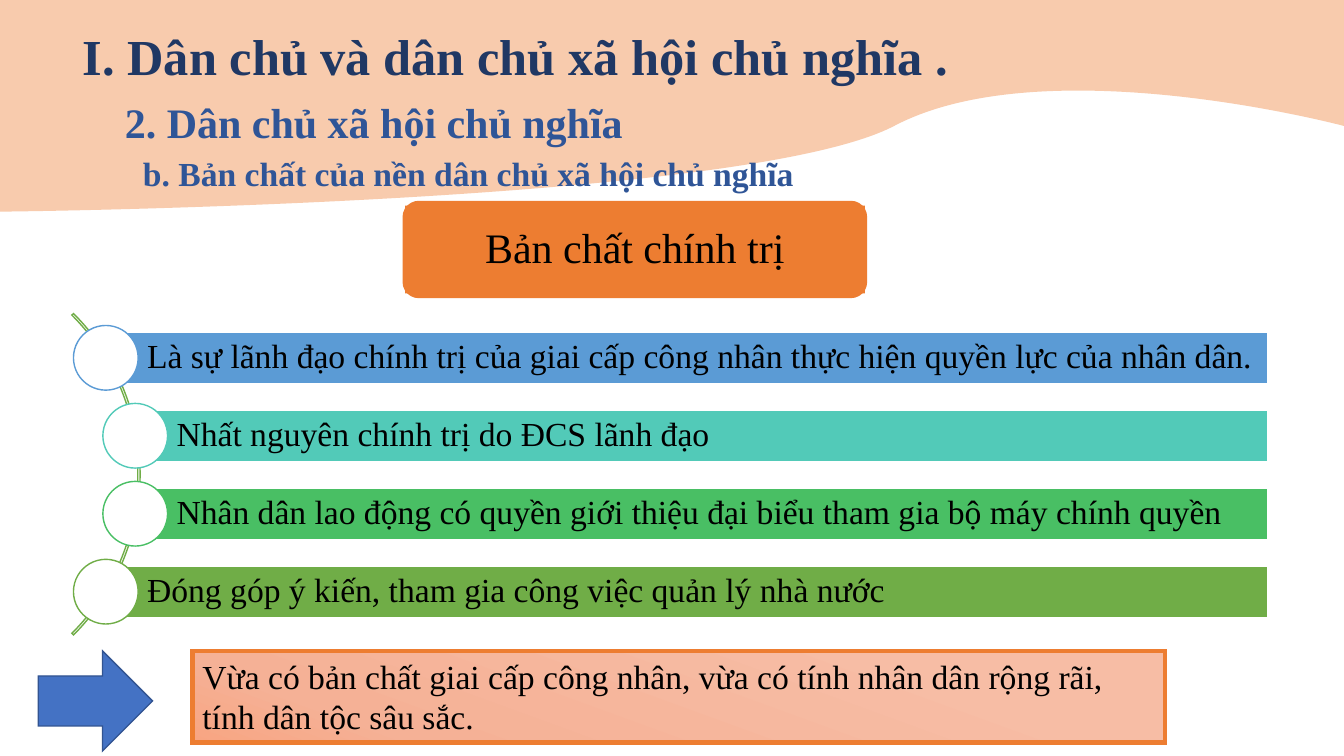
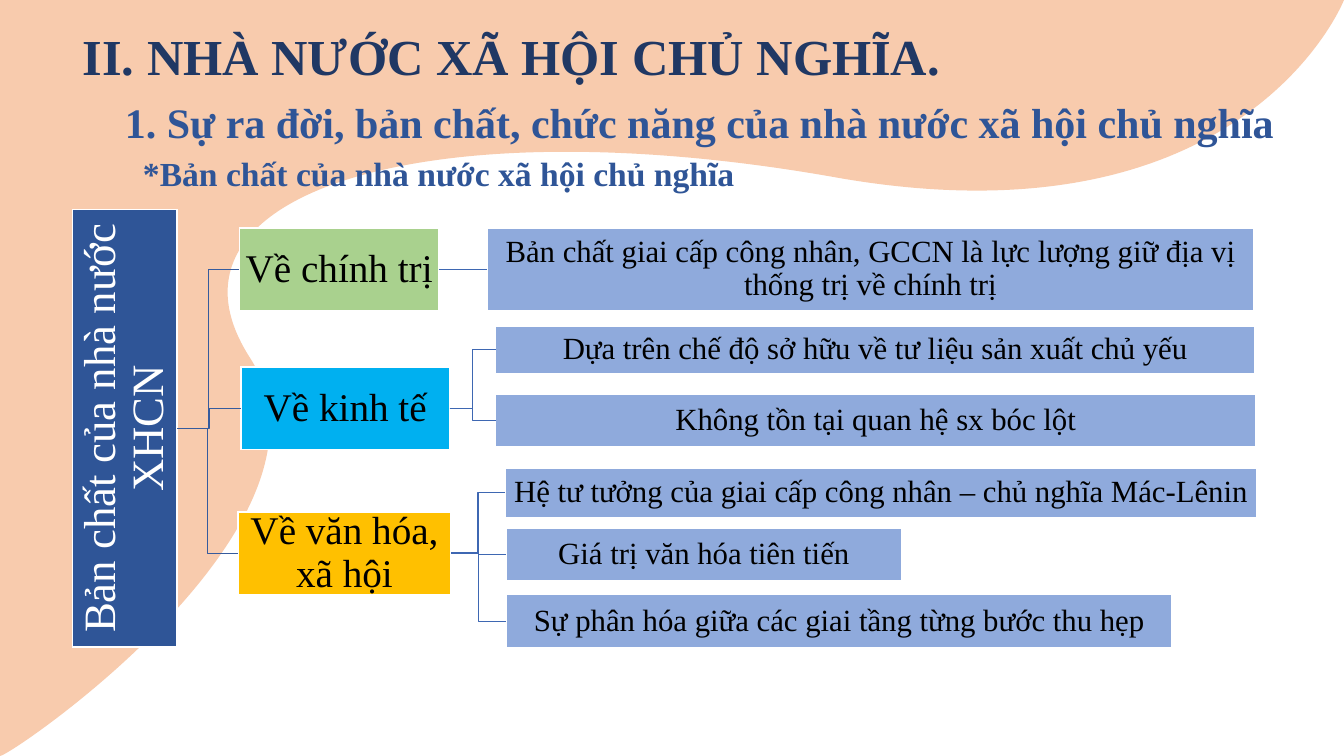
from copy import deepcopy
from dataclasses import dataclass

from lxml.etree import SubElement
from pptx import Presentation
from pptx.dml.color import RGBColor
from pptx.enum.shapes import MSO_CONNECTOR, MSO_SHAPE
from pptx.enum.text import MSO_ANCHOR, MSO_AUTO_SIZE, PP_ALIGN
from pptx.oxml.ns import qn
from pptx.util import Inches, Pt

CELL = Inches(1) / 12
COLUMNS, ROWS = 160, 90
FONT = "Times New Roman"
COLORS = {
    "wave": "F8CBAD", "title": "203864", "subtitle": "2F5597",
    "black": "000000", "white": "FFFFFF", "orange": "ED7D31",
    "blue": "5B9BD5", "teal": "52CAB8", "green": "49BF64", "olive": "70AD47",
    "arrow": "4472C4", "arrow_edge": "325491",
    "peach_light": "F7BDA5", "peach": "F5B196", "peach_dark": "F8A582",
    "lime": "A9D18E", "sky": "00B0F0", "gold": "FFC000", "leaf": "8FAADC",
    "trunk_line": "365B9D", "leaf_line": "3E67B2",
}

Point = tuple[float, float]
Segment = tuple[Point, ...]


@dataclass(frozen=True)
class Area:
    left: float
    top: float
    width: float
    height: float

    def emu(self) -> list[int]:
        return [cells(n) for n in (self.left, self.top, self.width, self.height)]


@dataclass(frozen=True)
class TextStyle:
    size: float
    color: str = "black"
    bold: bool = False
    align: PP_ALIGN = PP_ALIGN.LEFT
    anchor: MSO_ANCHOR = MSO_ANCHOR.TOP
    left: float = 1.2
    right: float = 1.2
    edge: float = 0.6
    spacing: float = 1.0


@dataclass(frozen=True)
class Bar:
    text: str
    left: float
    color: str


@dataclass(frozen=True)
class Leaf:
    text: str
    left: float
    middle: float
    width: float
    height: float


@dataclass(frozen=True)
class Branch:
    text: str
    left: float
    middle: float
    width: float
    color: str
    leaves: tuple[Leaf, ...]


HEADINGS = (
    (Area(8.64, 2.4, 144, 8.5), TextStyle(36, "title", True)),
    (Area(13.68, 10.92, 140, 7.3), TextStyle(30, "subtitle", True)),
    (Area(15.84, 17.64, 110, 6), TextStyle(24, "subtitle", True)),
)
BAR_STYLE = TextStyle(24, anchor=MSO_ANCHOR.MIDDLE, left=4.92, right=0.84, edge=0.84,
                      spacing=0.9)


def node_style(size: float, color: str = "black") -> TextStyle:
    return TextStyle(size, color, align=PP_ALIGN.CENTER, anchor=MSO_ANCHOR.MIDDLE,
                     left=0.24, right=0.24, edge=0.24, spacing=0.9)


BARS = (
    Bar("Là sự lãnh đạo chính trị của giai cấp công nhân thực hiện quyền lực của nhân dân.",
        12.6, "blue"),
    Bar("Nhất nguyên chính trị do ĐCS lãnh đạo", 16.1, "teal"),
    Bar("Nhân dân lao động có quyền giới thiệu đại biểu tham gia bộ máy chính quyền",
        16.1, "green"),
    Bar("Đóng góp ý kiến, tham gia công việc quản lý nhà nước", 12.6, "olive"),
)
BRANCHES = (
    Branch("Về chính trị", 28.5, 32.06, 23.76, "lime", (
        Leaf("Bản chất giai cấp công nhân, GCCN là lực lượng giữ địa vị thống trị về chính trị",
             57.96, 32.06, 91.32, 9.84),
    )),
    Branch("Về kinh tế", 28.68, 48.62, 24.84, "sky", (
        Leaf("Dựa trên chế độ sở hữu về tư liệu sản xuất chủ yếu", 59, 41.64, 90.36, 5.64),
        Leaf("Không tồn tại quan hệ sx bóc lột", 59, 50.04, 90.48, 6.24),
    )),
    Branch("Về văn hóa, xã hội", 28.32, 65.86, 25.4, "gold", (
        Leaf("Hệ tư tưởng của giai cấp công nhân – chủ nghĩa Mác-Lênin",
             60.12, 58.64, 89.52, 5.88),
        Leaf("Giá trị văn hóa tiên tiến", 60.24, 66, 47.1, 6.24),
        Leaf("Sự phân hóa giữa các giai tầng từng bước thu hẹp", 60.24, 73.96, 79.3, 6.36),
    )),
)


def cells(count: float) -> int:
    return round(count * CELL)


def rgb(name: str) -> RGBColor:
    return RGBColor.from_string(COLORS[name])


def write(shape, text: str, style: TextStyle) -> None:
    frame = shape.text_frame
    frame.word_wrap = True
    frame.auto_size = MSO_AUTO_SIZE.NONE
    frame.vertical_anchor = style.anchor
    frame.margin_left, frame.margin_right = cells(style.left), cells(style.right)
    frame.margin_top = frame.margin_bottom = cells(style.edge)
    para = frame.paragraphs[0]
    para.text = text
    para.alignment = style.align
    para.line_spacing = style.spacing
    para.font.name = FONT
    para.font.size = Pt(style.size)
    para.font.bold = style.bold
    para.font.color.rgb = rgb(style.color)


def paint(shape, fill: str | None, line: str | None = None, weight: float = 1) -> None:
    shape.shadow.inherit = False
    if fill:
        shape.fill.solid()
        shape.fill.fore_color.rgb = rgb(fill)
    else:
        shape.fill.background()
    if line:
        shape.line.color.rgb = rgb(line)
        shape.line.width = Pt(weight)
        SubElement(shape.element.spPr.find(qn("a:ln")), qn("a:miter"), lim="800000")
    else:
        shape.line.fill.background()


def add_box(page, area: Area, fill: str | None, line: str | None = None, weight: float = 1,
            kind: MSO_SHAPE = MSO_SHAPE.RECTANGLE):
    box = page.shapes.add_shape(kind, *area.emu())
    paint(box, fill, line, weight)
    return box


def add_node(page, area: Area, fill: str, text: str, style: TextStyle):
    box = add_box(page, area, fill, "white")
    write(box, text, style)
    return box


def add_wave(page, segments: tuple[Segment, ...]):
    builder = page.shapes.build_freeform(0, 0)
    builder.add_line_segments(
        [(cells(x), cells(y)) for segment in segments for x, y in segment], close=True)
    wave = builder.convert_to_shape()
    lines = iter(wave.element.findall(".//" + qn("a:lnTo")))
    for segment in segments:
        group = [next(lines) for _ in segment]
        if len(group) == 3:
            bend = group[0].makeelement(qn("a:cubicBezTo"))
            group[0].addprevious(bend)
            for line in group:
                bend.append(line[0])
                line.getparent().remove(line)
    paint(wave, "wave")
    return wave


def add_page(deck, segments: tuple[Segment, ...], headings: tuple[str, str, str]):
    page = deck.slides.add_slide(deck.slide_layouts[5])
    title = page.shapes.title
    wave = add_wave(page, segments)
    title.element.addprevious(wave.element)
    for text, (area, style) in zip(headings, HEADINGS):
        if style.color == "title":
            box = title
            box.left, box.top, box.width, box.height = area.emu()
        else:
            box = page.shapes.add_textbox(*area.emu())
        write(box, text, style)
    return page


def join(page, begin, end, color: str) -> None:
    level = begin.top + begin.height // 2 == end.top + end.height // 2
    kind = MSO_CONNECTOR.STRAIGHT if level else MSO_CONNECTOR.ELBOW
    link = page.shapes.add_connector(kind, 0, 0, 0, 0)
    link.begin_connect(begin, 3)
    link.end_connect(end, 1)
    link.line.color.rgb = rgb(color)
    link.line.width = Pt(1)
    SubElement(link.element.spPr, qn("a:effectLst"))


def shade(box, stops: tuple[tuple[float, str], ...], angle: float) -> None:
    box.fill.gradient()
    box.fill.gradient_angle = angle
    stop_list = box.element.find(".//" + qn("a:gsLst"))
    while len(stop_list) < len(stops):
        stop_list.append(deepcopy(stop_list[-1]))
    for stop, (position, color) in zip(box.fill.gradient_stops, stops):
        stop.position = position
        stop.color.rgb = rgb(color)


def build_democracy(deck) -> None:
    wave = (
        ((0, 25.2),),
        ((0, 25.2), (88.56, 24.36), (106.44, 15)),
        ((124.44, 5.52), (COLUMNS, 15), (COLUMNS, 15)),
        ((COLUMNS, 0),),
    )
    page = add_page(deck, wave, (
        "I. Dân chủ và dân chủ xã hội chủ nghĩa .",
        "2. Dân chủ xã hội chủ nghĩa",
        "b. Bản chất của nền dân chủ xã hội chủ nghĩa"))

    arc = add_box(page, Area(-37.44, 29.4, 54.12, 54.12), None, "olive",
                  kind=MSO_SHAPE.BLOCK_ARC)
    for index, value in enumerate((189, 27, 0.005)):
        arc.adjustments[index] = value

    first_middle, pitch, height, disc, right = 42.6, 9.28, 6.1, 7.7, 150.96
    for index, bar in enumerate(BARS):
        middle = first_middle + index * pitch
        area = Area(bar.left, middle - height / 2, right - bar.left, height)
        add_node(page, area, bar.color, bar.text, BAR_STYLE)
        add_box(page, Area(bar.left - disc / 2, middle - disc / 2, disc, disc),
                "white", bar.color, kind=MSO_SHAPE.OVAL)

    add_box(page, Area(47.92, 23.9, 55.32, 11.6), "orange", kind=MSO_SHAPE.ROUNDED_RECTANGLE)
    topic = add_box(page, Area(48.24, 24.48, 54.72, 10.44), "orange")
    write(topic, "Bản chất chính trị", node_style(30))
    add_box(page, Area(4.56, 77.5, 13.6, 11.9), "arrow", "arrow_edge",
            kind=MSO_SHAPE.RIGHT_ARROW)
    summary = add_box(page, Area(22.92, 77.5, 115.8, 10.9), "peach", "orange", 3)
    shade(summary, ((0.23, "peach_light"), (0.81, "peach"), (1, "peach_dark")), 250)
    write(summary, "Vừa có bản chất giai cấp công nhân, vừa có tính nhân dân rộng rãi, "
                   "tính dân tộc sâu sắc.", TextStyle(24))


def build_state(deck) -> None:
    wave = (
        ((COLUMNS, 0),),
        ((COLUMNS, 0), (148.32, 29.76), (99.48, 21.12)),
        ((50.76, 12.48), (17.16, 23.04), (29.76, 42.6)),
        ((42.24, 62.04), (1.32, ROWS), (0, ROWS)),
    )
    page = add_page(deck, wave, (
        "II. NHÀ NƯỚC XÃ HỘI CHỦ NGHĨA.",
        "1. Sự ra đời, bản chất, chức năng của nhà nước xã hội chủ nghĩa",
        "*Bản chất của nhà nước xã hội chủ nghĩa"))

    root = add_node(page, Area(8.64, 24.96, 12.45, 52.08), "subtitle",
                    "Bản chất của nhà nước XHCN", node_style(32, "white"))
    root.text_frame._txBody.bodyPr.set("vert", "vert270")
    height = 9.84
    for branch in BRANCHES:
        area = Area(branch.left, branch.middle - height / 2, branch.width, height)
        parent = add_node(page, area, branch.color, branch.text, node_style(28))
        join(page, root, parent, "trunk_line")
        for leaf in branch.leaves:
            area = Area(leaf.left, leaf.middle - leaf.height / 2, leaf.width, leaf.height)
            child = add_node(page, area, "leaf", leaf.text, node_style(22))
            join(page, parent, child, "leaf_line")


def main() -> None:
    deck = Presentation()
    deck.slide_width, deck.slide_height = cells(COLUMNS), cells(ROWS)
    build_democracy(deck)
    build_state(deck)
    deck.save("out.pptx")


if __name__ == "__main__":
    main()
